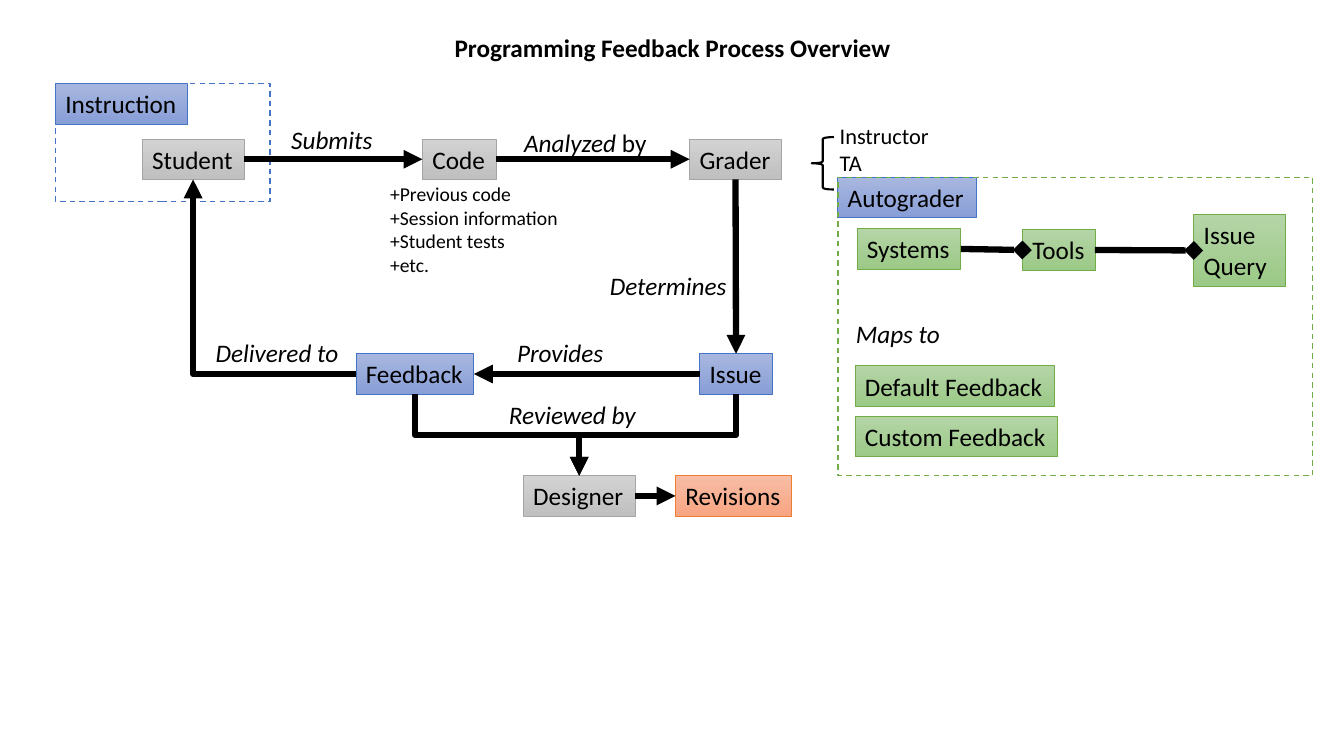
from lxml import etree
from pptx import Presentation
from pptx.dml.color import RGBColor
from pptx.enum.dml import MSO_LINE
from pptx.enum.shapes import MSO_CONNECTOR, MSO_SHAPE
from pptx.enum.text import MSO_ANCHOR, MSO_AUTO_SIZE, PP_ALIGN
from pptx.oxml.ns import qn
from pptx.util import Inches, Pt

RECT, BRACE = MSO_SHAPE.RECTANGLE, MSO_SHAPE.LEFT_BRACE
STRAIGHT, ELBOW = MSO_CONNECTOR.STRAIGHT, MSO_CONNECTOR.ELBOW
DASH, TOP, MIDDLE = MSO_LINE.DASH, MSO_ANCHOR.TOP, MSO_ANCHOR.MIDDLE
LEFT, CENTER = PP_ALIGN.LEFT, PP_ALIGN.CENTER
NO_FIT = MSO_AUTO_SIZE.NONE

WIDTH, HEIGHT = 13.33, 7.5
FONT, BLACK = "Calibri", "000000"
BOX_H = 0.4
SUBMIT_ROW, ISSUE_ROW, DESIGN_ROW = 1.38, 3.51, 4.72
PANEL_X, PANEL_Y, TOOL_ROW = 8.31, 1.76, 2.27
DEFAULT_ROW, FEEDBACK_STEP = 3.63, 0.5
SIDES = {"top": 0, "left": 1, "bottom": 2, "right": 3}

THEMES = {
    "gray": ("D2D2D2", "C0C0C0", "A5A5A5"),
    "blue": ("A8B7DF", "889ED7", "4472C4"),
    "green": ("B5D5A7", "9CC987", "70AD47"),
    "orange": ("F7BDA5", "F8A582", "ED7D31"),
}

TITLE = ("Programming Feedback Process Overview", 4.39, 0.27, 4.56)

NODES = [
    ("Student", "gray", 1.41, SUBMIT_ROW, 1.01, BOX_H),
    ("Code", "gray", 4.19, SUBMIT_ROW, 0.73, BOX_H),
    ("Grader", "gray", 6.84, SUBMIT_ROW, 0.91, BOX_H),
    ("Feedback", "blue", 3.53, ISSUE_ROW, 1.17, BOX_H),
    ("Issue", "blue", 6.94, ISSUE_ROW, 0.72, BOX_H),
    ("Designer", "gray", 5.19, DESIGN_ROW, 1.11, BOX_H),
    ("Revisions", "orange", 6.7, DESIGN_ROW, 1.15, BOX_H),
    ("Instruction", "blue", 0.55, 0.83, 1.31, BOX_H),
    ("Autograder", "blue", PANEL_X, PANEL_Y, 1.37, BOX_H),
    ("Systems", "green", 8.5, TOOL_ROW, 1.03, BOX_H),
    ("Tools", "green", 10.14, TOOL_ROW + 0.01, 0.72, BOX_H),
    ("Issue\nQuery", "green", 11.84, 2.13, 0.91, 0.71),
    ("Default Feedback", "green", 8.48, DEFAULT_ROW, 1.98, BOX_H),
    ("Custom Feedback", "green", 8.48, DEFAULT_ROW + FEEDBACK_STEP, 2.01, BOX_H),
]

FRAMES = [
    ("blue", 0.55, 0.83, 2.13, 1.17),
    ("green", PANEL_X, PANEL_Y, 4.71, 2.96),
]

LINKS = [
    ("Student", "right", "Code", "left", "triangle"),
    ("Code", "right", "Grader", "left", "triangle"),
    ("Grader", "bottom", "Issue", "top", "triangle"),
    ("Issue", "left", "Feedback", "right", "triangle"),
    ("Designer", "right", "Revisions", "left", "triangle"),
    ("Systems", "right", "Tools", "left", "diamond"),
    ("Tools", "right", "Issue\nQuery", "left", "diamond"),
]

REVIEWED = ["Issue", "Feedback"]

LABELS = [
    ("Submits", "", 2.79, 1.18, 1.03),
    ("Analyzed", " by", 5.1, 1.21, 1.43),
    ("Determines", "", 5.95, 2.63, 1.4),
    ("Provides", "", 5.03, 3.3, 1.07),
    ("Delivered to", "", 2.04, 3.3, 1.43),
    ("Reviewed by", "", 4.95, 3.91, 1.47),
    ("Maps to", "", 8.39, 3.11, 1.04),
]

LISTS = [
    (["+Previous code", "+Session information", "+Student tests", "+etc."],
     14, 3.77, 1.76, 1.88, 1.04),
    (["Instructor", "TA"], 16, 8.23, 1.16, 1.1, 0.64),
]

BRACE_BOX = (8.05, 1.36, 0.22, 0.52)


def color(hex_text):
    return RGBColor.from_string(hex_text)


def inches(*values):
    return [Inches(v) for v in values]


def style(p, size, align=LEFT):
    p.alignment = align
    p.font.name, p.font.size = FONT, Pt(size)
    p.font.color.rgb = color(BLACK)


def add_outline(s, kind, box, line, weight):
    sp = s.shapes.add_shape(kind, *inches(*box))
    sp.shadow.inherit = False
    sp.fill.background()
    sp.line.color.rgb = color(line)
    sp.line.width = Pt(weight)
    return sp


def add_node(s, text, theme, *box):
    start, end, line = THEMES[theme]
    sp = add_outline(s, RECT, box, line, 0.5)
    sp.fill.gradient()
    sp.fill.gradient_angle = 270
    for stop, shade in zip(sp.fill.gradient_stops, (start, end)):
        stop.color.rgb = color(shade)
    tf = sp.text_frame
    tf.word_wrap = "\n" in text
    tf.vertical_anchor = TOP
    tf.paragraphs[0].text = text
    style(tf.paragraphs[0], 18)
    return sp


def add_textbox(s, *box):
    tf = s.shapes.add_textbox(*inches(*box)).text_frame
    tf.word_wrap = False
    return tf


def finish(link, end):
    link.line.color.rgb = color(BLACK)
    link.line.width = Pt(4.5)
    etree.SubElement(link.line._get_or_add_ln(), qn("a:tailEnd"), type=end)
    etree.SubElement(link._element.spPr, qn("a:effectLst"))


def add_link(s, nodes, source, leave, target, enter, end):
    link = s.shapes.add_connector(STRAIGHT, 0, 0, 0, 0)
    link.begin_connect(nodes[source], SIDES[leave])
    link.end_connect(nodes[target], SIDES[enter])
    finish(link, end)


def add_delivery(s, feedback, student):
    link = s.shapes.add_connector(
        ELBOW, student.left + student.width // 2, student.top + student.height,
        feedback.left, feedback.top + feedback.height // 2)
    link._element.spPr.find(qn("a:prstGeom")).set("prst", "bentConnector2")
    link.rotation = 180 if hasattr(link, "rotation") else 0
    link._element.spPr.find(qn("a:xfrm")).set("rot", str(180 * 60000))
    finish(link, "triangle")


def add_review(s, source, designer):
    x1, y1 = source.left + source.width // 2, source.top + source.height
    x2, y2 = designer.left + designer.width // 2, designer.top
    run, drop = abs(x2 - x1), y2 - y1
    left, top = (x1 + x2 - drop) // 2, (y1 + y2 - run) // 2
    ends = (left, left + drop) if x2 < x1 else (left + drop, left)
    link = s.shapes.add_connector(ELBOW, ends[0], top, ends[1], top + run)
    turn = 90 if x2 < x1 else 270
    link._element.spPr.find(qn("a:xfrm")).set("rot", str(turn * 60000))
    finish(link, "triangle")


def main():
    prs = Presentation()
    prs.slide_width, prs.slide_height = inches(WIDTH, HEIGHT)
    s = prs.slides.add_slide(prs.slide_layouts[5])

    text, *place = TITLE
    title = s.shapes.title
    title.left, title.top, title.width, title.height = inches(*place, BOX_H)
    tf = title.text_frame
    tf.text = text
    tf.word_wrap, tf.auto_size, tf.vertical_anchor = False, NO_FIT, MIDDLE
    style(tf.paragraphs[0], 18, CENTER)
    tf.paragraphs[0].font.bold = True

    nodes = {node[0]: add_node(s, *node) for node in NODES}
    for theme, *box in FRAMES:
        add_outline(s, RECT, box, THEMES[theme][2], 1).line.dash_style = DASH
    add_outline(s, BRACE, BRACE_BOX, BLACK, 1.5)

    for link in LINKS:
        add_link(s, nodes, *link)
    add_delivery(s, nodes["Feedback"], nodes["Student"])
    for name in REVIEWED:
        add_review(s, nodes[name], nodes["Designer"])

    for verb, rest, *place in LABELS:
        p = add_textbox(s, *place, BOX_H).paragraphs[0]
        style(p, 18)
        for part, slanted in ((verb, True), (rest, False)):
            if part:
                r = p.add_run()
                r.text, r.font.italic = part, slanted

    for lines, size, *box in LISTS:
        tf = add_textbox(s, *box)
        tf.text = "\n".join(lines)
        for p in tf.paragraphs:
            style(p, size)

    prs.save("out.pptx")


if __name__ == "__main__":
    main()
